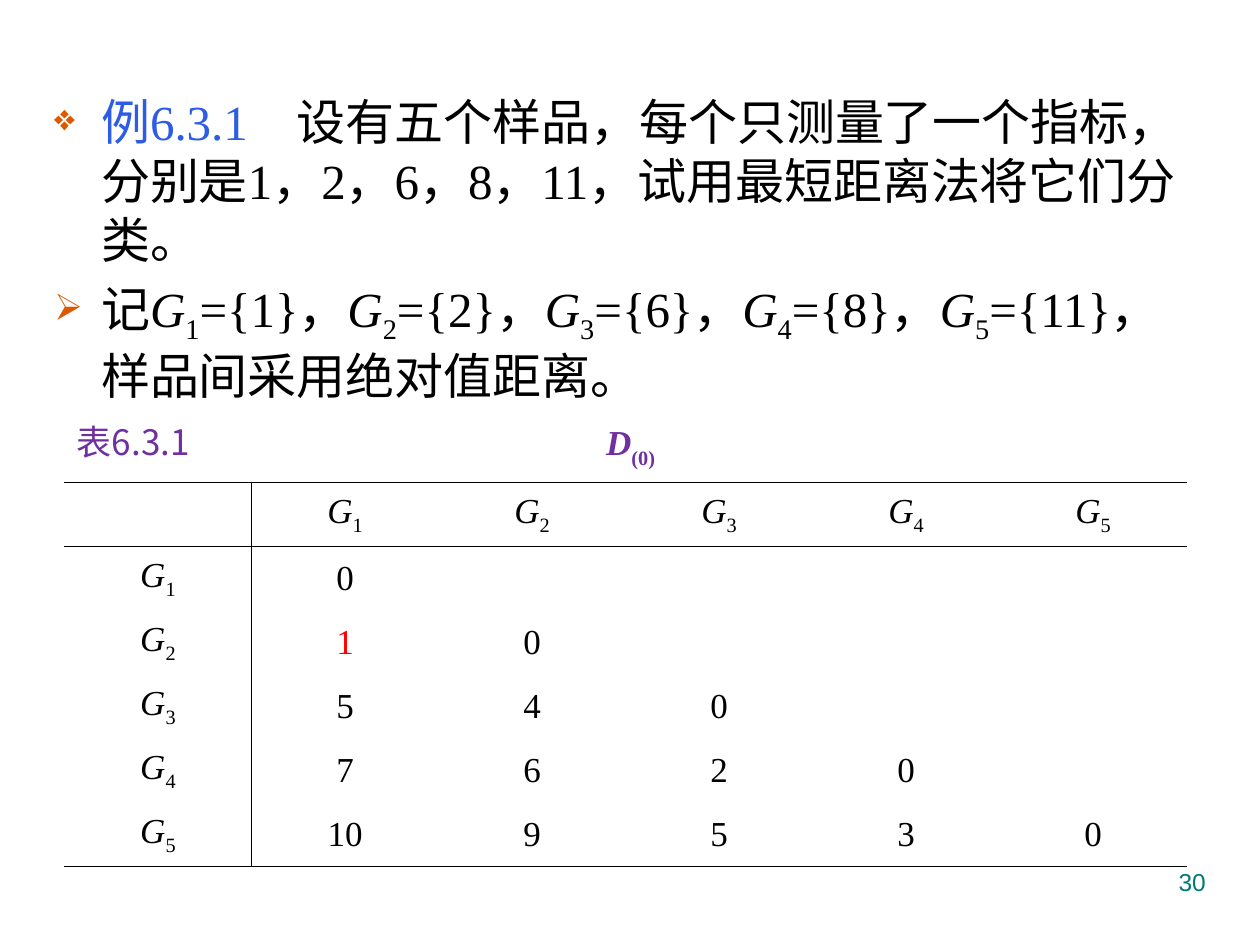
from dataclasses import dataclass

import pptx
import pptx.dml.color
import pptx.enum.text
import pptx.oxml
import pptx.oxml.ns
import pptx.util
from lxml import etree

Cm = pptx.util.Cm
Pt = pptx.util.Pt
ALIGN = pptx.enum.text.PP_ALIGN
ANCHOR = pptx.enum.text.MSO_ANCHOR


@dataclass(frozen=True)
class Theme:
    ink: str = "000000"
    example: str = "2D5CE7"
    bullet: str = "DC5900"
    caption: str = "7030A0"
    highlight: str = "FF0000"
    page: str = "007A77"
    serif: str = "Times New Roman"
    sans: str = "Arial"
    chinese: str = "Noto Sans CJK SC"
    body_size: float = 28
    table_size: float = 20
    page_size: float = 14
    rule_width: float = 1


def add_element(parent, tag, **attributes):
    return etree.SubElement(parent, pptx.oxml.ns.qn(tag), attributes)


def group_symbol(number):
    """Runs for an italic G with a lowered index."""
    return [("G", {"italic": True}), (str(number), {"baseline": -25})]


class SlideBuilder:
    def __init__(self, presentation, theme):
        self.theme = theme
        self.slide = presentation.slides.add_slide(presentation.slide_layouts[6])

    def add_runs(self, paragraph, runs, size, font=None, color=None):
        for text, style in runs:
            run = paragraph.add_run()
            run.text = text
            run.font.size = Pt(size)
            run.font.name = style.get("font", font or self.theme.serif)
            run.font.bold = style.get("bold", False)
            run.font.italic = style.get("italic", False)
            run.font.color.rgb = pptx.dml.color.RGBColor.from_string(
                style.get("color", color or self.theme.ink))
            if "baseline" in style:
                run.font._element.set("baseline", str(style["baseline"] * 1000))
            if run.font.name == self.theme.chinese:
                add_element(run.font._element, "a:ea", typeface=self.theme.chinese)

    def add_text_box(self, left, top, width, height, anchor=ANCHOR.TOP):
        shape = self.slide.shapes.add_textbox(Cm(left), Cm(top), Cm(width), Cm(height))
        shape.text_frame.word_wrap = True
        shape.text_frame.vertical_anchor = anchor
        return shape.text_frame

    def add_bullets(self, box, items):
        frame = self.add_text_box(*box)
        for index, (symbol, runs) in enumerate(items):
            paragraph = frame.add_paragraph() if index else frame.paragraphs[0]
            paragraph.space_before = Pt(0.2 * self.theme.body_size)
            properties = paragraph._p.get_or_add_pPr()
            indent = Cm(0.95)
            properties.set("marL", str(indent))
            properties.set("indent", str(-indent))
            color = add_element(properties, "a:buClr")
            add_element(color, "a:srgbClr", val=self.theme.bullet)
            add_element(properties, "a:buSzPct", val="75000")
            add_element(properties, "a:buChar", char=symbol)
            self.add_runs(paragraph, runs, self.theme.body_size)

    def add_caption(self, box, runs, tab_position):
        frame = self.add_text_box(*box, anchor=ANCHOR.MIDDLE)
        paragraph = frame.paragraphs[0]
        tabs = add_element(paragraph._p.get_or_add_pPr(), "a:tabLst")
        add_element(tabs, "a:tab", pos=str(Cm(tab_position)), algn="l")
        self.add_runs(paragraph, runs, self.theme.table_size, color=self.theme.caption)

    def add_page_number(self, box, number):
        paragraph = self.add_text_box(*box).paragraphs[0]
        paragraph.alignment = ALIGN.RIGHT
        self.add_runs(paragraph, [(str(number), {})], self.theme.page_size,
                      self.theme.sans, self.theme.page)

    def set_borders(self, cell, visible):
        """Rule the sides named in visible (from L, R, T, B) and clear the others."""
        properties = cell._tc.get_or_add_tcPr()
        for side in "LRTB":
            line = add_element(properties, f"a:ln{side}",
                               w=str(Pt(self.theme.rule_width)))
            if side in visible:
                fill = add_element(line, "a:solidFill")
                add_element(fill, "a:srgbClr", val=self.theme.ink)
            else:
                add_element(line, "a:noFill")

    def add_distance_table(self, left, top, column_width, row_height, distances, highlight):
        """Lower-triangular matrix with group names along the top and the left."""
        count = len(distances) + 1
        table = self.slide.shapes.add_table(
            count, count, Cm(left), Cm(top),
            Cm(column_width * count), Cm(row_height * count)).table
        table.first_row = table.horz_banding = False
        for column in table.columns:
            column.width = Cm(column_width)
        for row in table.rows:
            row.height = Cm(row_height)

        for i in range(count):
            for j in range(count):
                cell = table.cell(i, j)
                sides = {0: "TB", 1: "T", count - 1: "B"}.get(i, "")
                self.set_borders(cell, sides + {0: "R", 1: "L"}.get(j, ""))
                cell.fill.background()
                if (i == 0) != (j == 0):
                    runs = group_symbol(i or j)
                elif 0 < j <= i:
                    style = {"color": self.theme.highlight} if (i, j) == highlight else {}
                    runs = [(str(distances[i - 1][j - 1]), style)]
                else:
                    continue
                cell.margin_left = cell.margin_right = Cm(0.2)
                cell.margin_top = cell.margin_bottom = 0
                cell.vertical_anchor = ANCHOR.MIDDLE
                paragraph = cell.text_frame.paragraphs[0]
                paragraph.alignment = ALIGN.CENTER
                self.add_runs(paragraph, runs, self.theme.table_size)


def main():
    theme = Theme()
    samples = [1, 2, 6, 8, 11]
    distances = [[a - b for b in samples[:i + 1]] for i, a in enumerate(samples)]

    presentation = pptx.Presentation()
    presentation.slide_width, presentation.slide_height = Cm(25.4), Cm(19.05)
    builder = SlideBuilder(presentation, theme)

    example = [
        ("例6.3.1　", {"color": theme.example}),
        ("设有五个样品，每个只测量了一个指标，分别是1，2，6，8，11，"
         "试用最短距离法将它们分类。", {}),
    ]
    groups = [("记", {})]
    for number, sample in enumerate(samples, start=1):
        ending = "样品间采用绝对值距离。" if number == len(samples) else ""
        groups += group_symbol(number) + [(f"={{{sample}}}，{ending}", {})]

    builder.add_bullets((0.84, 1.73, 23.72, 15.21), [("❖", example), ("➢", groups)])
    builder.add_distance_table(1.3, 9.73, 3.77, 1.29, distances, highlight=(2, 1))
    builder.add_caption((1.3, 8.41, 13, 1.12), [
        ("表6.3.1\t", {"font": theme.chinese}),
        ("D", {"bold": True, "italic": True}),
        ("(0)", {"bold": True, "baseline": -30}),
    ], tab_position=10.67)
    builder.add_page_number((18.21, 17.35, 6.35, 1.32), 30)
    presentation.save("out.pptx")


if __name__ == "__main__":
    main()
